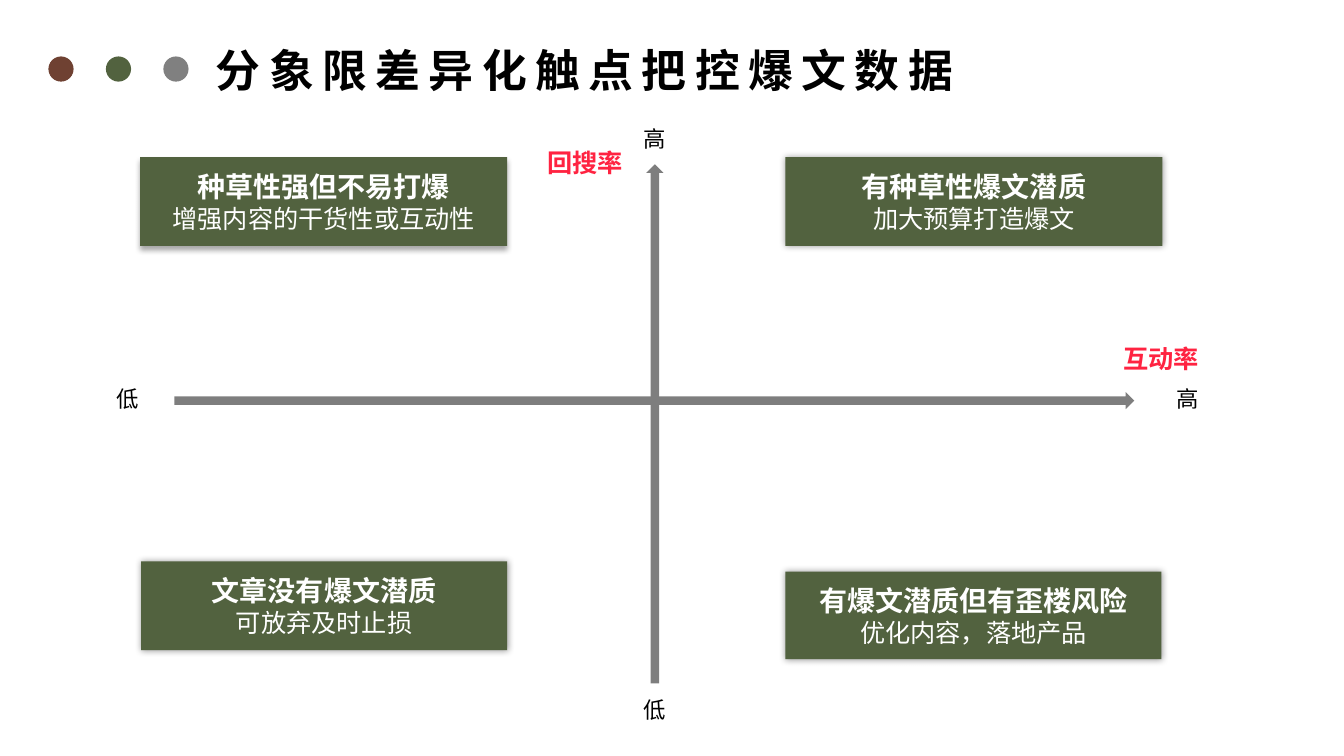
"""Build the slide on content quadrants by search rate and interaction rate."""
from dataclasses import dataclass

from lxml.etree import SubElement
from pptx import Presentation
from pptx.dml.color import RGBColor
from pptx.enum.lang import MSO_LANGUAGE_ID
from pptx.enum.shapes import MSO_SHAPE
from pptx.enum.text import MSO_ANCHOR, MSO_AUTO_SIZE, PP_ALIGN
from pptx.oxml.ns import qn
from pptx.shapes.autoshape import Shape
from pptx.slide import Slide
from pptx.text.text import TextFrame
from pptx.util import Emu, Pt

PX = 9144


@dataclass(frozen=True)
class Theme:
    brown: str = "6F4132"
    green: str = "52623F"
    gray: str = "808080"
    axis: str = "7E7E7E"
    red: str = "FF2341"
    black: str = "000000"
    white: str = "FFFFFF"
    font: str = "Arial"
    chinese_font: str = "Noto Sans CJK SC"
    title_size: int = 32
    heading_size: int = 20
    body_size: int = 18
    label_size: int = 16


THEME = Theme()


@dataclass(frozen=True)
class Area:
    left: int
    top: int
    width: int
    height: int

    def emu(self) -> tuple[Emu, Emu, Emu, Emu]:
        return tuple(Emu(side * PX) for side in (self.left, self.top, self.width, self.height))


@dataclass(frozen=True)
class Shadow:
    opacity: int = 40
    blur: int = 5
    distance: int = 0
    angle: int = 0


@dataclass(frozen=True)
class Quadrant:
    area: Area
    heading: str
    advice: str
    shadow: Shadow = Shadow()


@dataclass(frozen=True)
class Label:
    area: Area
    text: str
    size: int = THEME.label_size
    color: str = THEME.black
    bold: bool = False


@dataclass(frozen=True)
class Axis:
    area: Area
    rotation: int = 0


AXES = (
    Axis(Area(173, 389, 952, 17)),
    Axis(Area(392, 412, 515, 17), rotation=270),
)

QUADRANTS = (
    Quadrant(Area(779, 567, 373, 87), "有爆文潜质但有歪楼风险", "优化内容，落地产品"),
    Quadrant(Area(140, 557, 363, 88), "文章没有爆文潜质", "可放弃及时止损"),
    Quadrant(Area(139, 156, 364, 88), "种草性强但不易打爆", "增强内容的干货性或互动性",
             Shadow(opacity=34, blur=4, distance=3, angle=90)),
    Quadrant(Area(779, 156, 374, 88), "有种草性爆文潜质", "加大预算打造爆文"),
)

LABELS = (
    Label(Area(628, 686, 42, 37), "低"),
    Label(Area(1157, 377, 42, 37), "高"),
    Label(Area(628, 119, 42, 37), "高"),
    Label(Area(106, 377, 42, 37), "低"),
    Label(Area(533, 141, 95, 40), "回搜率", THEME.body_size, THEME.red, True),
    Label(Area(1104, 336, 95, 40), "互动率", THEME.body_size, THEME.red, True),
)


def write(frame: TextFrame, text: str, *, size: int, color: str, bold: bool = False,
          align: PP_ALIGN = PP_ALIGN.LEFT, font: str = THEME.font,
          spacing: int = 0, new_paragraph: bool = False) -> None:
    para = frame.add_paragraph() if new_paragraph else frame.paragraphs[0]
    para.alignment = align
    span = para.add_run()
    span.text = text
    span.font.size = Pt(size)
    span.font.bold = bold
    span.font.name = font
    span.font.color.rgb = RGBColor.from_string(color)
    span.font.language_id = MSO_LANGUAGE_ID.SIMPLIFIED_CHINESE
    properties = span.font._element
    SubElement(properties, qn("a:ea"), typeface=THEME.chinese_font)
    if spacing:
        properties.set("spc", str(spacing * 100))


def add_plain_shape(page: Slide, kind: MSO_SHAPE, area: Area, color: str) -> Shape:
    shape = page.shapes.add_shape(kind, *area.emu())
    shape.fill.solid()
    shape.fill.fore_color.rgb = RGBColor.from_string(color)
    shape.line.fill.background()
    shape.shadow.inherit = False
    return shape


def cast_shadow(shape: Shape, shadow: Shadow) -> None:
    effects = shape._element.spPr.find(qn("a:effectLst"))
    outer = SubElement(effects, qn("a:outerShdw"), blurRad=str(Pt(shadow.blur)),
                       dist=str(Pt(shadow.distance)), dir=str(shadow.angle * 60000),
                       algn="ctr", rotWithShape="0")
    tint = SubElement(outer, qn("a:srgbClr"), val=THEME.black)
    SubElement(tint, qn("a:alpha"), val=str(shadow.opacity * 1000))


def add_title(page: Slide, text: str) -> None:
    title = page.shapes.title
    title.left, title.top, title.width, title.height = Area(204, 37, 967, 64).emu()
    frame = title.text_frame
    frame.word_wrap = True
    frame.auto_size = MSO_AUTO_SIZE.SHAPE_TO_FIT_TEXT
    frame.vertical_anchor = MSO_ANCHOR.TOP
    write(frame, text, size=THEME.title_size, color=THEME.black, bold=True,
          font=THEME.chinese_font, spacing=6)


def add_dots(page: Slide) -> None:
    for index, color in enumerate((THEME.brown, THEME.green, THEME.gray)):
        add_plain_shape(page, MSO_SHAPE.OVAL, Area(48 + 57 * index, 56, 25, 25), color)


def add_axis(page: Slide, axis: Axis) -> None:
    arrow = add_plain_shape(page, MSO_SHAPE.RIGHT_ARROW, axis.area, THEME.axis)
    arrow.rotation = axis.rotation


def add_quadrant(page: Slide, quadrant: Quadrant) -> None:
    box = add_plain_shape(page, MSO_SHAPE.RECTANGLE, quadrant.area, THEME.green)
    cast_shadow(box, quadrant.shadow)
    frame = box.text_frame
    frame.word_wrap = True
    frame.vertical_anchor = MSO_ANCHOR.MIDDLE
    write(frame, quadrant.heading, size=THEME.heading_size, color=THEME.white,
          bold=True, align=PP_ALIGN.CENTER)
    write(frame, quadrant.advice, size=THEME.body_size, color=THEME.white,
          align=PP_ALIGN.CENTER, new_paragraph=True)


def add_label(page: Slide, label: Label) -> None:
    frame = page.shapes.add_textbox(*label.area.emu()).text_frame
    frame.word_wrap = False
    frame.auto_size = MSO_AUTO_SIZE.SHAPE_TO_FIT_TEXT
    write(frame, label.text, size=label.size, color=label.color, bold=label.bold)


def main() -> None:
    deck = Presentation()
    deck.slide_width, deck.slide_height = Emu(1333 * PX), Emu(750 * PX)
    page = deck.slides.add_slide(deck.slide_layouts[5])
    add_title(page, "分象限差异化触点把控爆文数据")
    add_dots(page)
    for axis in AXES:
        add_axis(page, axis)
    for quadrant in QUADRANTS:
        add_quadrant(page, quadrant)
    for label in LABELS:
        add_label(page, label)
    deck.save("out.pptx")


if __name__ == "__main__":
    main()
